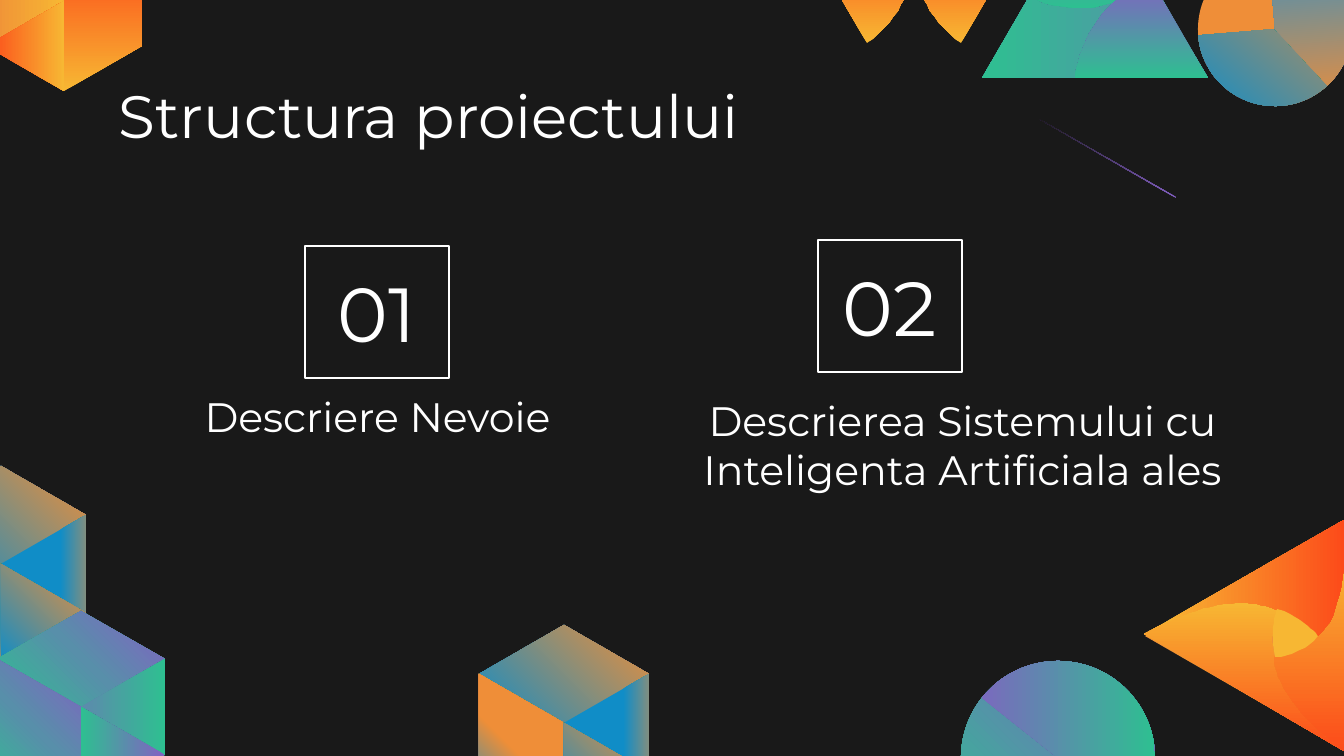
from dataclasses import dataclass
from pptx import Presentation
from pptx.dml.color import RGBColor as RGB
from pptx.enum.shapes import MSO_SHAPE as Kind
from pptx.enum.text import MSO_ANCHOR as Anchor, PP_ALIGN as Align
from pptx.oxml import parse_xml
from pptx.oxml.ns import nsdecls, qn
from pptx.util import Emu, Pt

SCALE = 914400 / 134.4


@dataclass(frozen=True)
class Theme:
    font: str = "Montserrat"
    back: str = "191919"
    white: str = "FFFFFF"
    blue: str = "108DC7"
    gray: str = "808E80"
    steel: str = "588FAA"
    slate: str = "5E89AD"
    green: str = "2EBF91"
    purple: str = "8360C3"
    orange: str = "EF8E38"
    yellow: str = "F7B733"
    red: str = "FC4B1A"
    title: int = 32
    number: int = 41
    label: int = 22


def px(n):
    return Emu(round(n * SCALE))


def trace(path):
    points = [path[0]]
    for step in path[1:]:
        if len(step) == 2:
            points.append(step)
            continue
        ax, ay = points[-1]
        bx, by, cx, cy, dx, dy = step
        for i in range(1, 13):
            t = i / 12
            u = 1 - t
            k = u ** 3, 3 * u * u * t, 3 * u * t * t, t ** 3
            points.append((
                k[0] * ax + k[1] * bx + k[2] * cx + k[3] * dx,
                k[0] * ay + k[1] * by + k[2] * cy + k[3] * dy,
            ))
    return points


class Deck:
    def __init__(self, theme):
        self.theme = theme
        self.file = Presentation()
        self.file.slide_width, self.file.slide_height = px(1344), px(756)
        self.slide = self.file.slides.add_slide(self.file.slide_layouts[6])
        fill = self.slide.background.fill
        fill.solid()
        fill.fore_color.rgb = RGB.from_string(theme.back)

    def paint(self, shape, fill):
        shape.shadow.inherit = False
        shape.line.fill.background()
        if isinstance(fill, str):
            shape.fill.solid()
            shape.fill.fore_color.rgb = RGB.from_string(fill)
            return shape
        angle, *stops = fill
        shape.fill.background()
        marks = "".join(
            f'<a:gs pos="{pos * 1000}"><a:srgbClr val="{color}"/></a:gs>'
            for pos, color in stops)
        grad = parse_xml(
            f'<a:gradFill {nsdecls("a")} rotWithShape="1"><a:gsLst>{marks}'
            f'</a:gsLst><a:lin ang="{angle * 60000}" scaled="0"/></a:gradFill>')
        props = shape._element.spPr
        props.replace(props.find(qn("a:noFill")), grad)
        return shape

    def free(self, path, fill):
        points = trace(path)
        pen = self.slide.shapes.build_freeform(*points[0], scale=SCALE)
        pen.add_line_segments(points[1:], close=True)
        return self.paint(pen.convert_to_shape(), fill)

    def form(self, kind, box, fill, turn=0):
        shape = self.slide.shapes.add_shape(kind, *map(px, box))
        shape.rotation = turn
        return self.paint(shape, fill)

    def pie(self, box, fill, turn, end, flip=False):
        shape = self.form(Kind.PIE, box, fill, turn)
        shape.adjustments[0], shape.adjustments[1] = 0, end
        if flip:
            shape._element.spPr.xfrm.set("flipH", "1")

    def cube(self, mid, top, wide, rise, fills):
        near, far = mid - wide, mid + wide
        y = [top + rise * i for i in range(5)]
        head, core, foot = (mid, y[0]), (mid, y[2]), (mid, y[4])
        left, right = (near, y[1]), (far, y[1])
        low, end = (near, y[3]), (far, y[3])
        faces = (
            [head, right, end, foot, low, left],
            [left, head, right, core],
            [left, core, foot, low],
            [core, right, end],
            [core, end, foot],
        )
        for face, fill in zip(faces, fills):
            self.free(face, fill)

    def text(self, box, words, size, anchor, align=Align.CENTER, frame=False):
        if frame:
            shape = self.slide.shapes.add_shape(Kind.RECTANGLE, *map(px, box))
            shape.shadow.inherit = False
            shape.fill.background()
            shape.line.color.rgb = RGB.from_string(self.theme.white)
            shape.line.width = Pt(1.5)
        else:
            shape = self.slide.shapes.add_textbox(*map(px, box))
        body = shape.text_frame
        body.word_wrap = True
        body.vertical_anchor = anchor
        body.margin_left = body.margin_right = px(13)
        body.margin_top = body.margin_bottom = px(13)
        body.text = words
        line = body.paragraphs[0]
        line.alignment = align
        font = line.runs[0].font
        font.name, font.size = self.theme.font, Pt(size)
        font.color.rgb = RGB.from_string(self.theme.white)


def main():
    t = Theme()
    deck = Deck(t)

    def fade(angle, start, end):
        return angle, (0, start), (100, end)

    sky = fade(315, t.blue, t.orange)
    wall = 315, (0, t.blue), (46, t.orange), (100, t.orange)
    side = 0, (0, t.blue), (70, t.blue), (100, t.gray)
    warm = t.orange, sky, wall, side, sky
    cool = (
        t.green,
        (315, (0, t.green), (51, t.steel), (100, t.purple)),
        (135, (0, t.purple), (51, t.steel), (100, t.green)),
        fade(0, t.slate, t.green),
        fade(180, t.purple, t.green),
    )
    fire = (
        t.orange,
        fade(0, t.red, t.yellow),
        fade(270, t.yellow, t.red),
        fade(0, t.orange, t.yellow),
        fade(0, t.red, t.yellow),
    )
    deck.cube(564, 625, 85, 49, warm)

    disc = 961, 661, 194, 194
    deck.form(Kind.OVAL, disc, t.purple)
    deck.pie(disc, (45, (0, t.green), (51, t.steel), (100, t.purple)),
             180, 162, True)
    deck.pie(disc, fade(0, t.purple, t.green), 180, 84.949, True)

    deck.free([(1208, 78), (1095, -117), (982, 78)],
              fade(180, t.slate, t.green))
    dusk = fade(90, t.purple, t.green)
    deck.free([(1118, 1), (1128, -7, 1140, -14, 1152, -19), (1095, -117),
               (1030, -3), (1058, 11, 1089, 11, 1118, 1)], dusk)
    deck.free([(1208, 78), (1150, -20), (1138, -15, 1127, -8, 1117, 0),
               (1094, 19, 1079, 47, 1075, 78)], dusk)
    for way in (-1, 1):
        x = [914 + way * n for n in (0, 113, 47, 23, 5)]
        deck.free([(x[0], -31), (x[0], -71), (x[1], -71), (x[2], 43),
                   (x[3], 26, x[4], -1, x[0], -31)],
                  fade(270, t.yellow, t.red))

    deck.form(Kind.ISOSCELES_TRIANGLE, (1130, 538, 226, 196), t.orange, 270)
    glow = fade(90, t.yellow, t.red)
    deck.free([(1344, 751), (1144, 634), (1159, 626),
               (1191, 609, 1218, 603, 1241, 603),
               (1255, 603, 1267, 606, 1277, 609),
               (1277, 610, 1269, 629, 1274, 656),
               (1274, 683, 1297, 710, 1316, 728),
               (1324, 735, 1332, 743, 1341, 749)], glow)
    deck.free([(1344, 751), (1333, 743, 1324, 735, 1316, 728),
               (1297, 710, 1274, 682, 1274, 656),
               (1280, 656, 1301, 655, 1318, 634),
               (1336, 620, 1343, 586, 1344, 559)], glow)
    deck.free([(1318, 636), (1318, 636, 1305, 618, 1277, 610),
               (1267, 606, 1255, 603, 1241, 603),
               (1218, 603, 1191, 610, 1159, 626), (1344, 520), (1344, 560),
               (1343, 587, 1336, 621, 1318, 636)],
              fade(0, t.yellow, t.red))
    deck.free([(1275, 657), (1269, 629, 1277, 610, 1277, 609),
               (1305, 618, 1318, 636, 1318, 636),
               (1301, 656, 1280, 657, 1275, 657)], t.yellow)

    wheel = 1198, -48, 154, 154
    deck.form(Kind.OVAL, wheel, t.orange)
    deck.pie(wheel, fade(225, t.orange, t.blue), 265.3, 162)
    deck.pie(wheel, (180, (0, t.blue), (19, t.steel), (100, t.orange)),
             265.3, 84.949)

    deck.cube(1, 466, 85, 49, warm)
    deck.cube(81, 611, 84, 48, cool)
    deck.cube(64, -89, -78, 45, fire)

    deck.text((155, 388, 445, 66), "Descriere Nevoie", t.label, Anchor.BOTTOM)
    deck.text((622, 441, 681, 66),
              "Descrierea Sistemului cu Inteligenta Artificiala ales",
              t.label, Anchor.BOTTOM)
    for x, y, words in ((305, 246, "01"), (818, 240, "02")):
        deck.text((x, y, 144, 132), words, t.number, Anchor.MIDDLE, frame=True)
    deck.text((106, 66, 1133, 85), "Structura proiectului", t.title,
              Anchor.TOP, Align.LEFT)
    deck.free([(1039, 119), (1176, 198), (1176, 197)],
              fade(270, t.purple, t.back))
    deck.file.save("out.pptx")


if __name__ == "__main__":
    main()
